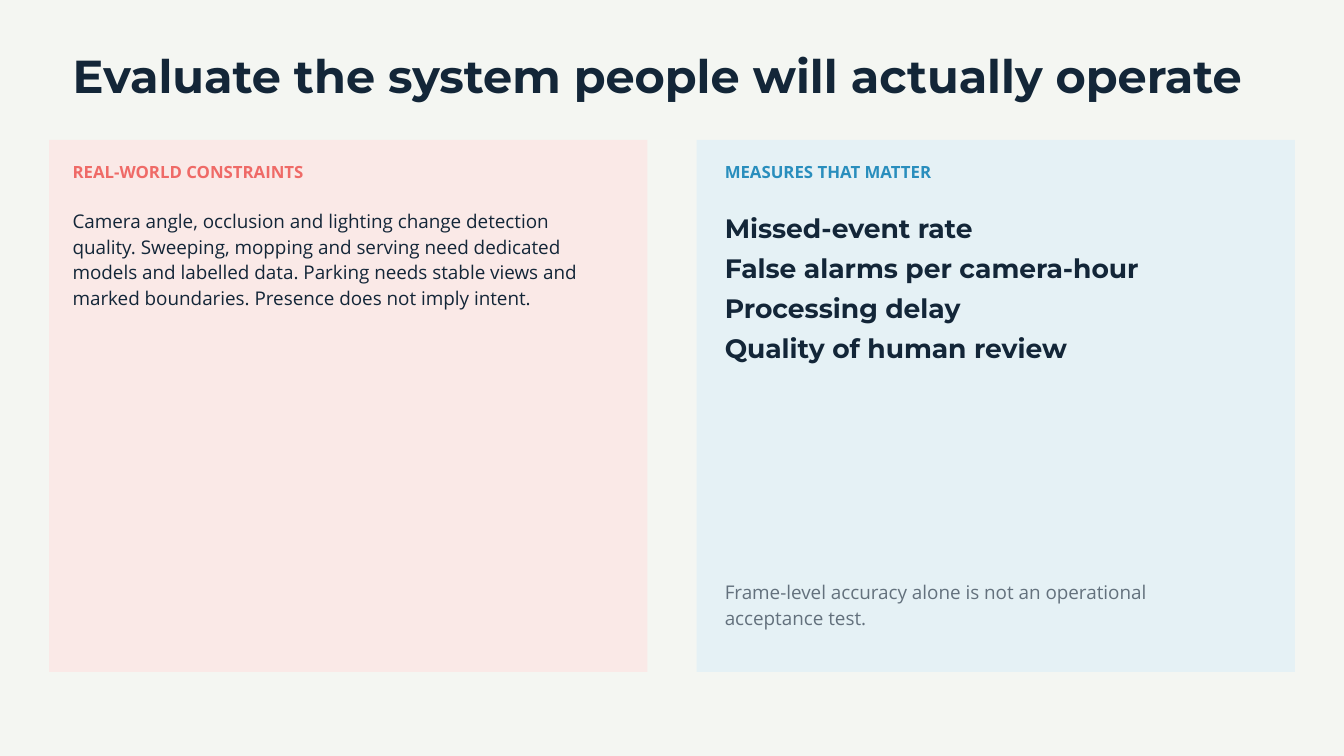
from dataclasses import dataclass

from pptx import Presentation
from pptx.dml.color import RGBColor
from pptx.enum.shapes import MSO_SHAPE
from pptx.enum.text import MSO_ANCHOR, MSO_AUTO_SIZE, PP_ALIGN
from pptx.util import Inches, Pt

RECTANGLE = MSO_SHAPE.RECTANGLE
TOP = MSO_ANCHOR.TOP
NO_AUTOFIT = MSO_AUTO_SIZE.NONE
LEFT = PP_ALIGN.LEFT

WIDTH, HEIGHT = 20, 11.25
MARGIN = GUTTER = 0.73
PANEL_W = (WIDTH - 2 * MARGIN - GUTTER) / 2
PANEL_TOP, PANEL_H = 2.08, 7.92
TEXT_W = 7.29


@dataclass(frozen=True)
class Style:
    """Typeface, size, line pitch, colour and weight of a text role."""

    font: str
    size: float
    pitch: float
    color: str
    bold: bool = False


class Theme:
    """Colours and text styles of the slide."""

    background = "F4F6F2"
    constraints_fill = "FAE9E7"
    measures_fill = "E5F1F5"
    ink = "132638"
    title = Style("Montserrat", 49.5, 52, ink, True)
    constraints_label = Style("Open Sans", 18, 20.7, "EF6A67", True)
    measures_label = Style("Open Sans", 18, 20.7, "298EBD", True)
    body = Style("Open Sans", 20.2, 27.3, ink)
    measure = Style("Montserrat", 28.5, 42.8, ink, True)
    note = Style("Open Sans", 20.2, 27.3, "63717D")


def column_left(column):
    """Return the left edge of a panel column in inches."""
    return MARGIN + column * (PANEL_W + GUTTER)


def write(tf, lines, style):
    """Fill a text frame with one paragraph per line in the given style."""
    tf.margin_left = tf.margin_top = tf.margin_right = tf.margin_bottom = 0
    tf.word_wrap = True
    tf.auto_size = NO_AUTOFIT
    tf.vertical_anchor = TOP
    for i, line in enumerate(lines):
        p = tf.add_paragraph() if i else tf.paragraphs[0]
        p.text = line
        p.alignment = LEFT
        p.line_spacing = Pt(style.pitch)
        p.space_before = p.space_after = Pt(0)
        p.font.name = style.font
        p.font.size = Pt(style.size)
        p.font.bold = style.bold
        p.font.color.rgb = RGBColor.from_string(style.color)


def add_title(s, text):
    """Place and format the title placeholder."""
    sp = s.shapes.title
    sp.left, sp.top = Inches(1.08), Inches(0.81)
    sp.width, sp.height = Inches(17.83), Inches(0.74)
    write(sp.text_frame, [text], Theme.title)


def add_panel(s, column, color):
    """Add the flat background panel of a column."""
    sp = s.shapes.add_shape(RECTANGLE, Inches(column_left(column)), Inches(PANEL_TOP),
                            Inches(PANEL_W), Inches(PANEL_H))
    sp.shadow.inherit = False
    sp.fill.solid()
    sp.fill.fore_color.rgb = RGBColor.from_string(color)
    sp.line.fill.background()


def add_text(s, column, inset, top, height, lines, style, width=TEXT_W):
    """Add a text box inset from the left edge of a column."""
    sp = s.shapes.add_textbox(Inches(column_left(column) + inset), Inches(top),
                              Inches(width), Inches(height))
    write(sp.text_frame, lines, style)


def add_constraints(s, column, inset=0.35):
    """Add the panel describing real-world constraints."""
    add_panel(s, column, Theme.constraints_fill)
    add_text(s, column, inset, 2.42, 0.27, ["REAL-WORLD CONSTRAINTS"], Theme.constraints_label)
    add_text(s, column, inset, 3.08, 1.5, [
        "Camera angle, occlusion and lighting change detection quality. "
        "Sweeping, mopping and serving need dedicated models and labelled data. "
        "Parking needs stable views and marked boundaries. "
        "Presence does not imply intent."], Theme.body, width=7.92)


def add_measures(s, column, inset=0.42):
    """Add the panel listing the measures and the closing note."""
    add_panel(s, column, Theme.measures_fill)
    add_text(s, column, inset, 2.42, 0.27, ["MEASURES THAT MATTER"], Theme.measures_label)
    add_text(s, column, inset, 3.04, 2.34, [
        "Missed-event rate",
        "False alarms per camera-hour",
        "Processing delay",
        "Quality of human review"], Theme.measure)
    add_text(s, column, inset, 8.6, 0.75, [
        "Frame-level accuracy alone is not an operational acceptance test."], Theme.note)


def main():
    """Build and save the slide."""
    prs = Presentation()
    prs.slide_width, prs.slide_height = Inches(WIDTH), Inches(HEIGHT)
    s = prs.slides.add_slide(prs.slide_layouts.get_by_name("Title Only"))
    s.background.fill.solid()
    s.background.fill.fore_color.rgb = RGBColor.from_string(Theme.background)
    add_title(s, "Evaluate the system people will actually operate")
    add_constraints(s, 0)
    add_measures(s, 1)
    prs.save("out.pptx")


if __name__ == "__main__":
    main()
